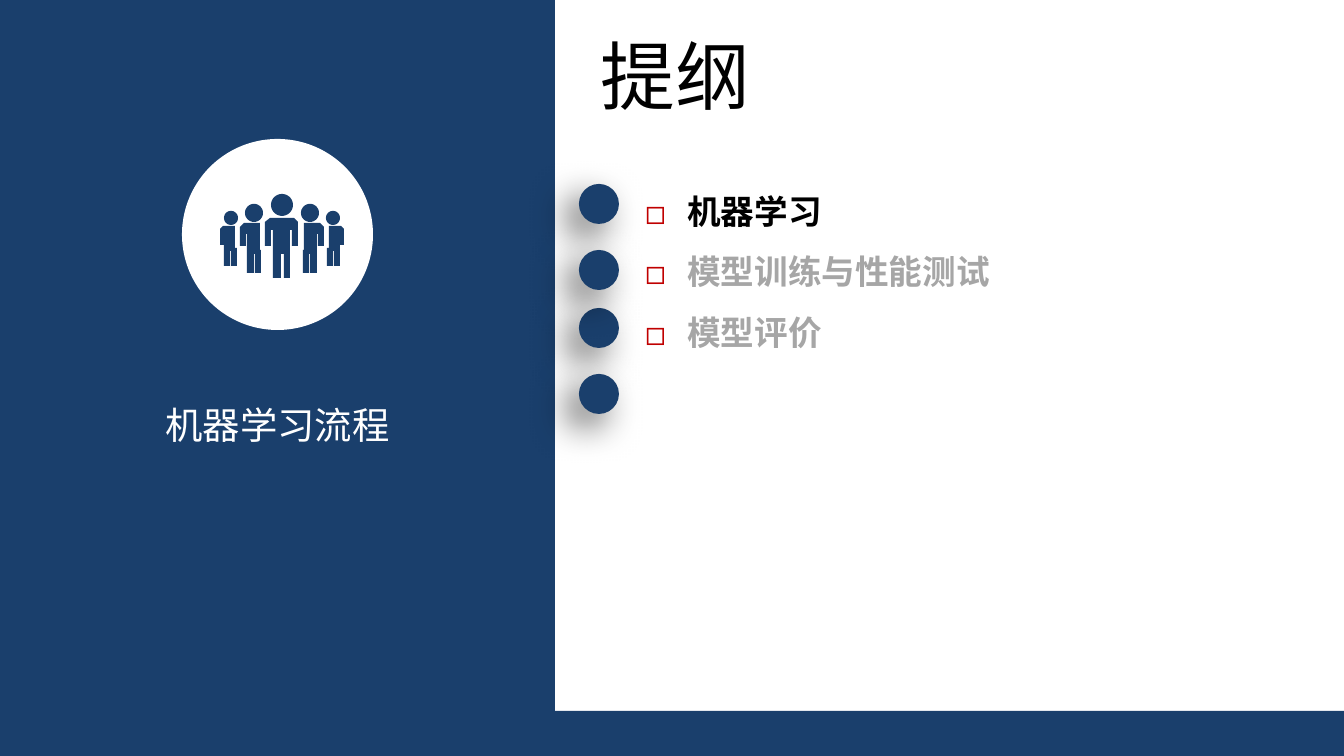
import math
import pptx
import pptx.util
import pptx.dml.color
import pptx.enum.shapes
import pptx.enum.text
import pptx.oxml
import pptx.oxml.ns

RGB = pptx.dml.color.RGBColor
NAVY = RGB(0x1A, 0x3F, 0x6C)
WHITE = RGB(0xFF, 0xFF, 0xFF)
BLACK = RGB(0, 0, 0)
GREY = RGB(0xA6, 0xA6, 0xA6)
FONT = "Noto Sans CJK SC"
KIND = pptx.enum.shapes.MSO_SHAPE
ALIGN = pptx.enum.text.PP_ALIGN
NS = pptx.oxml.ns.nsdecls("a")
PX = 914400 / 134.4


def put(kind, box, color):
    shape = slide.shapes.add_shape(kind, *[int(n * PX) for n in box])
    shape.shadow.inherit = False
    shape.fill.solid()
    shape.fill.fore_color.rgb = color
    shape.line.fill.background()
    return shape


def style(para, size, color, bold=False):
    font = para.font
    font.size = pptx.util.Pt(size)
    font.bold = bold
    font.color.rgb = color
    font.name = FONT
    font._element.append(pptx.oxml.parse_xml(f'<a:ea {NS} typeface="{FONT}"/>'))


deck = pptx.Presentation()
deck.slide_width = int(1344 * PX)
deck.slide_height = int(756 * PX)
slide = deck.slides.add_slide(deck.slide_layouts[5])

# Bottom band and left panel
put(KIND.RECTANGLE, (0, 711, 1344, 45), NAVY)
put(KIND.RECTANGLE, (0, 0, 555, 756), NAVY)

# Title
title = slide.shapes.title
title.left, title.top, title.width, title.height = [
    int(n * PX) for n in (587, 23, 178, 103)]
frame = title.text_frame
frame.text = "提纲"
frame.word_wrap = False
frame.auto_size = pptx.enum.text.MSO_AUTO_SIZE.NONE
frame.vertical_anchor = pptx.enum.text.MSO_ANCHOR.TOP
frame.paragraphs[0].alignment = ALIGN.LEFT
style(frame.paragraphs[0], 40, BLACK)

# Panel caption
label = slide.shapes.add_textbox(*[int(n * PX) for n in (79, 402, 397, 46)])
frame = label.text_frame
frame.word_wrap = True
frame.margin_left = frame.margin_right = 0
frame.margin_top = frame.margin_bottom = 0
frame.text = "机器学习流程"
frame.paragraphs[0].alignment = ALIGN.CENTER
style(frame.paragraphs[0], 20, WHITE)

# Team icon: heads as (x, y, radius), bodies as outlines
put(KIND.OVAL, (182, 139, 191, 191), WHITE)
MID = 282
heads = [(282, 205, 11), (254, 213, 9), (231, 218, 7)]
bodies = [
    [(270, 218), (294, 218), (298, 222), (298, 246), (292, 246), (292, 230),
     (290, 230), (290, 278), (284, 278), (284, 254), (281, 254), (281, 278),
     (273, 278), (273, 230), (271, 230), (271, 246), (265, 246), (265, 222)],
    [(244, 223), (260, 223), (260, 250), (261, 250), (261, 273), (255, 273),
     (255, 254), (254, 254), (254, 273), (247, 273), (247, 234), (246, 234),
     (246, 246), (240, 246), (240, 227)],
    [(223, 226), (235, 226), (235, 248), (237, 248), (237, 266), (231, 266),
     (231, 251), (230, 251), (230, 266), (224, 266), (224, 245), (220, 245),
     (220, 229)],
]
paths = []
for (x, y, r), body in zip(heads, bodies):
    turns = [math.radians(a) for a in range(0, 360, 10)]
    head = [(x + r * math.cos(t), y + r * math.sin(t)) for t in turns]
    paths += [head, body]
    if x != MID:
        paths += [[(2 * MID - a, b) for a, b in part] for part in (head, body)]

# Tenths of a px keep the heads round
paths = [[(round(a * 10), round(b * 10)) for a, b in part] for part in paths]
pen = slide.shapes.build_freeform(*paths[0][0], scale=PX / 10)
for i, part in enumerate(paths):
    if i:
        pen.move_to(*part[0])
    pen.add_line_segments(part[1:], close=True)
team = pen.convert_to_shape()
team.shadow.inherit = False
team.fill.solid()
team.fill.fore_color.rgb = NAVY
team.line.fill.background()

# Outline list
items = [("机器学习", BLACK), ("模型训练与性能测试", GREY), ("模型评价", GREY)]
box = slide.shapes.add_textbox(*[int(n * PX) for n in (632, 164, 671, 190)])
frame = box.text_frame
frame.word_wrap = True
for i, (text, color) in enumerate(items):
    para = frame.paragraphs[0] if i == 0 else frame.add_paragraph()
    para.text = text
    para.line_spacing = 1.5
    props = para._p.get_or_add_pPr()
    props.set("marL", str(int(42 * PX)))
    props.set("indent", str(int(-42 * PX)))
    for xml in (f'<a:buClr {NS}><a:srgbClr val="C00000"/></a:buClr>',
                f'<a:buFont {NS} typeface="{FONT}"/>',
                f'<a:buChar {NS} char="◻"/>'):
        props.append(pptx.oxml.parse_xml(xml))
    style(para, 18, color, True)

# Shadowed dots
for top in (184, 308, 374, 250):
    dot = put(KIND.OVAL, (579, top, 40, 40), NAVY)
    glow = dot._element.spPr.find(pptx.oxml.ns.qn("a:effectLst"))
    glow.append(pptx.oxml.parse_xml(
        f'<a:outerShdw {NS} blurRad="254000" dist="127000" dir="8100000" '
        'algn="tr" rotWithShape="0"><a:srgbClr val="000000">'
        '<a:alpha val="60000"/></a:srgbClr></a:outerShdw>'))

deck.save("out.pptx")
